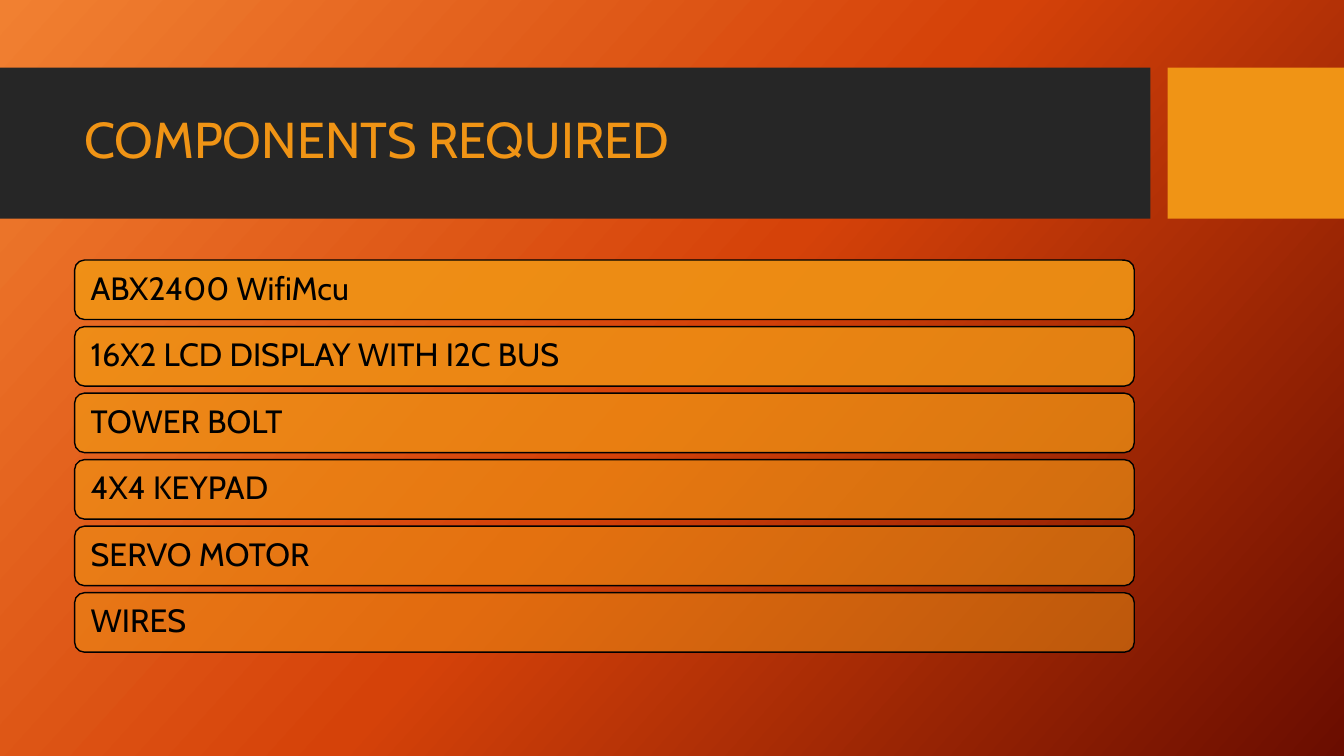
"""Build the slide that lists the components required."""
from copy import deepcopy

from pptx import Presentation
from pptx.dml.color import RGBColor
from pptx.enum.shapes import MSO_SHAPE
from pptx.enum.text import MSO_ANCHOR, PP_ALIGN
from pptx.oxml.ns import qn
from pptx.util import Inches, Pt
from lxml import etree

RECT, ROUND = MSO_SHAPE.RECTANGLE, MSO_SHAPE.ROUNDED_RECTANGLE
MIDDLE, LEFT = MSO_ANCHOR.MIDDLE, PP_ALIGN.LEFT

TITLE = "COMPONENTS REQUIRED"
PARTS = [
    "ABX2400 WifiMcu",
    "16X2 LCD DISPLAY WITH I2C BUS",
    "TOWER BOLT",
    "4X4 KEYPAD",
    "SERVO MOTOR",
    "WIRES",
]
STOPS = [(0, "F18031"), (0.5, "D54209"), (1, "6A0D00")]
DARK, GOLD, BLACK = "262626", "F09415", "000000"
WIDE, HIGH = 13.33, 7.5
EDGE, SPAN = 0.74, 10.51
BAND = [(0, 11.41, DARK), (11.58, 1.75, GOLD)]
BAND_TOP, BAND_HIGH = 0.67, 1.5
ROW_TOP, ROW_STEP, ROW_HIGH = 2.58, 0.66, 0.59
SOLID, FADE = 90, 8


def color(code):
    """Turn a hex string into a colour."""
    return RGBColor.from_string(code)


def write(shape, text, size, code, inset):
    """Set one line of text in a shape."""
    frame = shape.text_frame
    form = {"word_wrap": True, "vertical_anchor": MIDDLE,
            "margin_left": Inches(inset), "margin_right": Inches(inset)}
    for name, value in form.items():
        setattr(frame, name, value)
    line = frame.paragraphs[0]
    line.text, line.alignment, line.line_spacing = text, LEFT, 0.9
    font = line.runs[0].font
    for name, value in {"name": "Cabin", "size": Pt(size)}.items():
        setattr(font, name, value)
    font.color.rgb = color(code)


def block(slide, kind, box, code):
    """Add a filled shape without line or shadow."""
    shape = slide.shapes.add_shape(kind, *map(Inches, box))
    shape.shadow.inherit = False
    shape.fill.solid()
    shape.fill.fore_color.rgb = color(code)
    shape.line.fill.background()
    return shape


def paint(slide):
    """Fill the background with the gradient."""
    fill = slide.background.fill
    fill.gradient()
    fill.gradient_angle = 360 - 42
    group = next(slide.element.iter(qn("a:gsLst")))
    group.append(deepcopy(group[0]))
    for stop, (place, code) in zip(fill.gradient_stops, STOPS):
        stop.position, stop.color.rgb = place, color(code)


def main():
    """Draw the slide and save it."""
    deck = Presentation()
    deck.slide_width, deck.slide_height = Inches(WIDE), Inches(HIGH)
    slide = deck.slides.add_slide(deck.slide_layouts[6])
    paint(slide)
    for left, width, code in BAND:
        block(slide, RECT, (left, BAND_TOP, width, BAND_HIGH), code)
    head = slide.shapes.add_textbox(*map(Inches, (EDGE, 0.82, SPAN, 1.18)))
    write(head, TITLE, 36, GOLD, 0.1)
    for row, part in enumerate(PARTS):
        top = ROW_TOP + row * ROW_STEP
        bar = block(slide, ROUND, (EDGE, top, SPAN, ROW_HIGH), GOLD)
        tint = next(bar.element.spPr.iter(qn("a:srgbClr")))
        alpha = (SOLID - row * FADE) * 1000
        etree.SubElement(tint, qn("a:alpha"), val=str(alpha))
        bar.line.color.rgb, bar.line.width = color(BLACK), Pt(1)
        write(bar, part, 23, BLACK, 0.13)
    deck.save("out.pptx")


if __name__ == "__main__":
    main()
